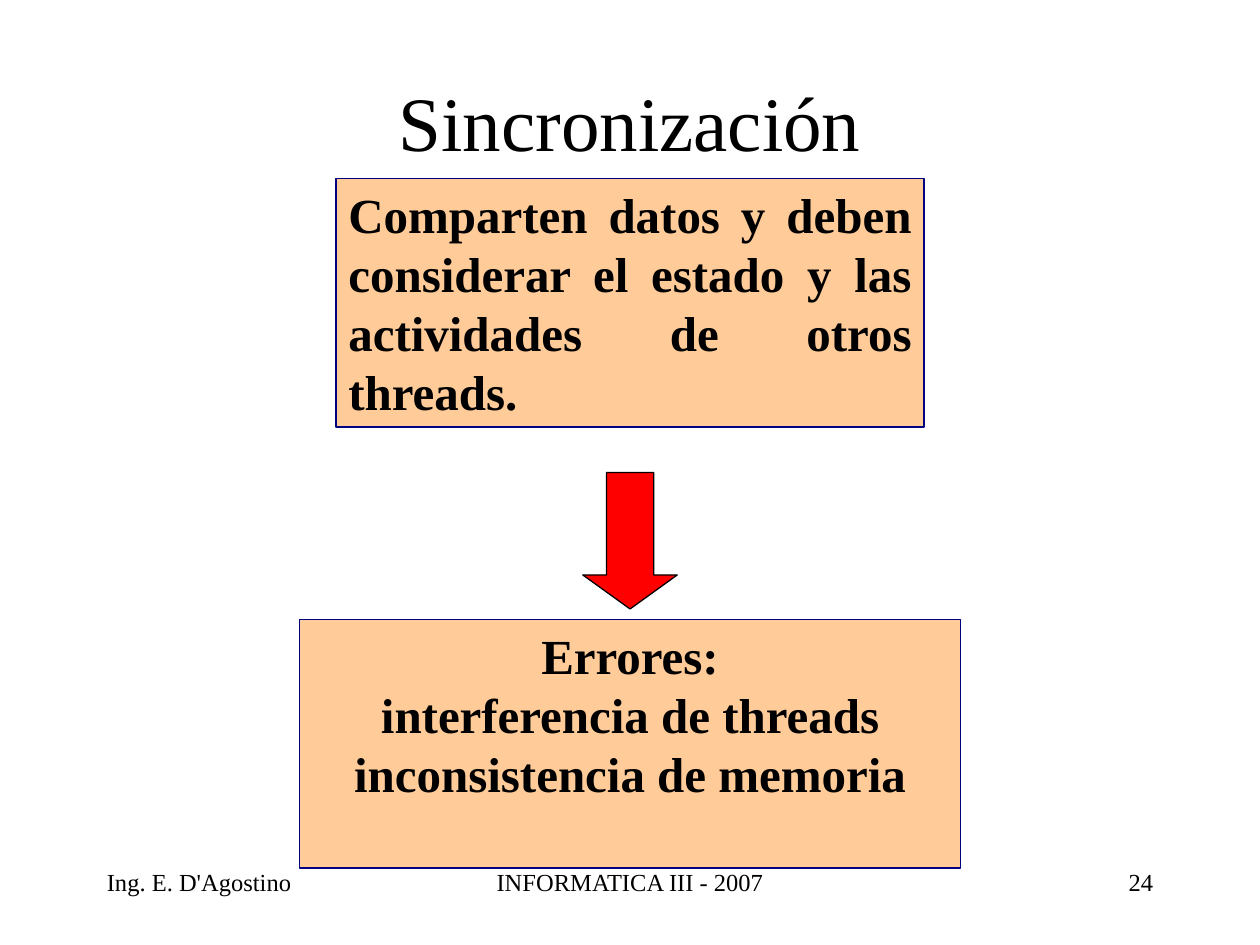
from pptx import Presentation
from pptx.dml.color import RGBColor as RGB
from pptx.enum.shapes import MSO_SHAPE as Kind
from pptx.enum.text import MSO_ANCHOR as Anchor, PP_ALIGN as Align
from pptx.util import Pt

COLORS = {"ink": "000000", "peach": "FFCC99", "navy": "000080", "red": "FF0000"}


class Deck:
    font = "Times New Roman"

    def __init__(self, wide, high):
        self.prs = Presentation()
        self.prs.slide_width, self.prs.slide_height = Pt(wide), Pt(high)
        self.slide = self.prs.slides.add_slide(self.prs.slide_layouts[6])

    def color(self, name):
        return RGB.from_string(COLORS[name])

    def text(self, shape, lines, size, align, anchor=Anchor.TOP, bold=False):
        frame = shape.text_frame
        frame.word_wrap = True
        frame.vertical_anchor = anchor
        for i, line in enumerate(lines):
            para = frame.add_paragraph() if i else frame.paragraphs[0]
            para.alignment = align
            run = para.add_run()
            run.text = line
            font = run.font
            font.name, font.size, font.bold = self.font, Pt(size), bold
            font.color.rgb = self.color("ink")

    def label(self, area, line, size, align, anchor=Anchor.TOP):
        box = self.slide.shapes.add_textbox(*map(Pt, area))
        self.text(box, [line], size, align, anchor)

    def shape(self, kind, area, fill, line):
        shape = self.slide.shapes.add_shape(kind, *map(Pt, area))
        shape.shadow.inherit = False
        shape.fill.solid()
        shape.fill.fore_color.rgb = self.color(fill)
        shape.line.color.rgb = self.color(line)
        shape.line.width = Pt(0.75)
        return shape

    def panel(self, area, lines, align):
        box = self.shape(Kind.RECTANGLE, area, "peach", "navy")
        self.text(box, lines, 28, align, bold=True)

    def arrow(self, area, turn):
        arrow = self.shape(Kind.RIGHT_ARROW, area, "red", "ink")
        arrow.adjustments[1] = 0.36
        arrow.rotation = turn


def main():
    deck = Deck(720, 540)
    deck.panel(
        (192, 102, 336, 142),
        ["Comparten datos y deben considerar el estado y las actividades de otros threads."],
        Align.JUSTIFY,
    )
    deck.arrow((321, 282, 78, 54), 90)
    deck.label((54, 24, 612, 90), "Sincronización", 44, Align.CENTER, Anchor.MIDDLE)
    deck.panel(
        (171, 354, 378, 142),
        ["Errores:", "interferencia de threads", "inconsistencia de memoria"],
        Align.CENTER,
    )
    for left, wide, line, align in (
        (246, 228, "INFORMATICA III - 2007", Align.CENTER),
        (516, 150, "24", Align.RIGHT),
        (54, 150, "Ing. E. D'Agostino", Align.LEFT),
    ):
        deck.label((left, 492, wide, 36), line, 14, align)
    deck.prs.save("out.pptx")


if __name__ == "__main__":
    main()
